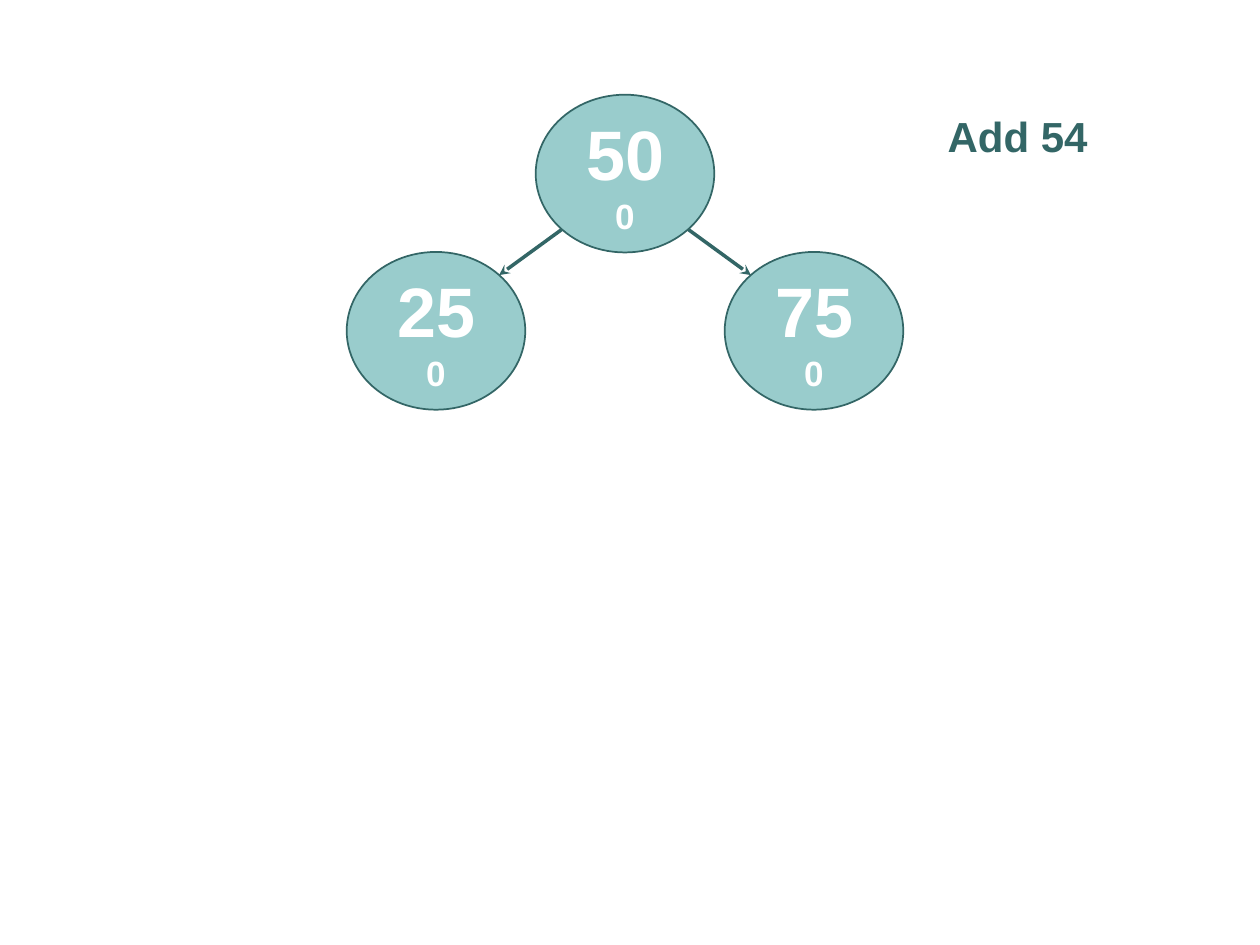
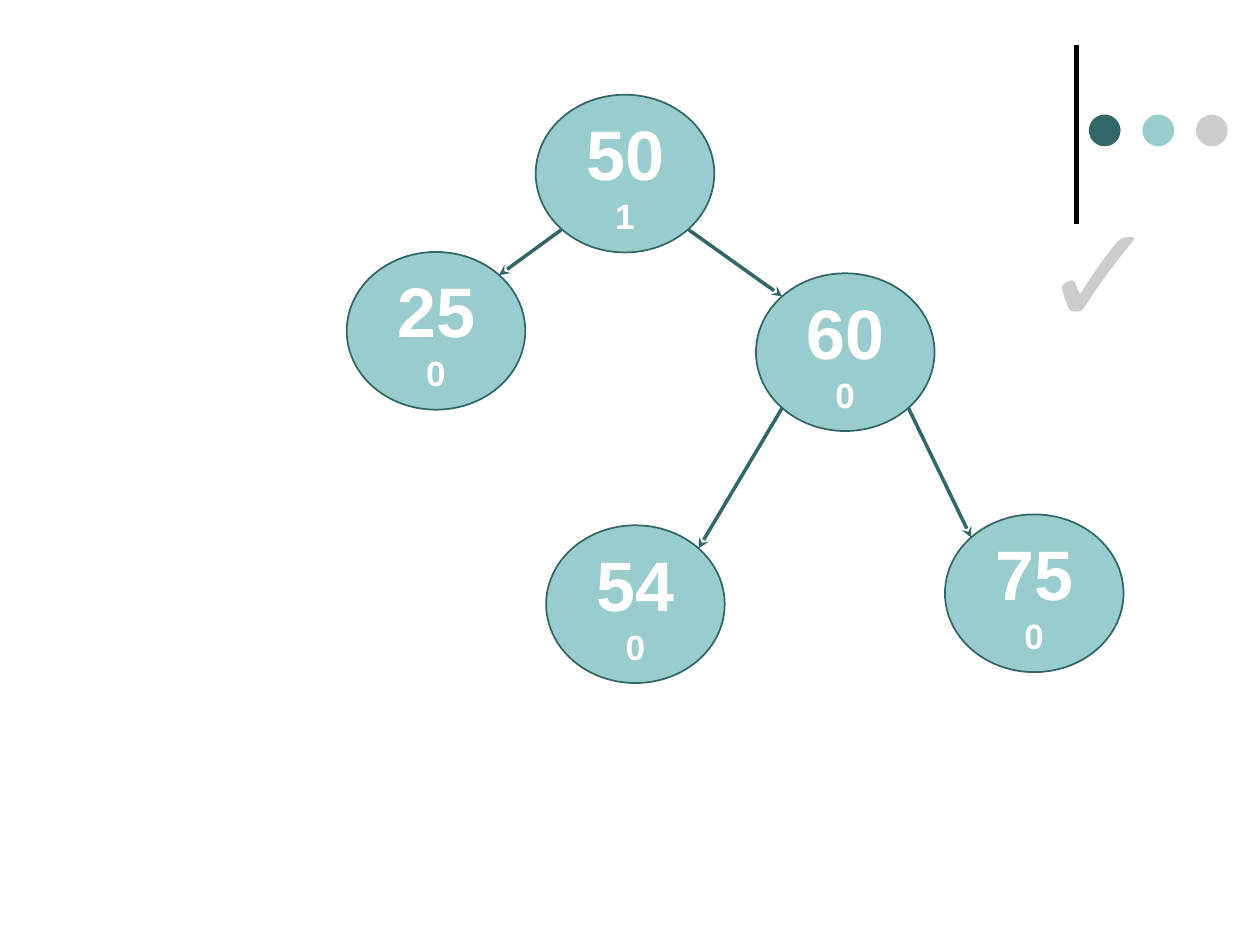
from math import sqrt

from lxml import etree
from pptx import Presentation
from pptx.dml.color import RGBColor
from pptx.enum import shapes, text
from pptx.oxml import ns
from pptx.util import Cm, Pt

DARK_TEAL = RGBColor(0x33, 0x66, 0x66)
LIGHT_TEAL = RGBColor(0x99, 0xCC, 0xCC)
GREY = RGBColor(0xCC, 0xCC, 0xCC)
BLACK = RGBColor(0, 0, 0)
WHITE = RGBColor(0xFF, 0xFF, 0xFF)
FONT = "Arial"

NODE_WIDTH, NODE_HEIGHT = Cm(3.6), Cm(3.18)
TREE_LEFT, TREE_TOP = Cm(6.99), Cm(1.91)
BOTTOM_LEFT, BOTTOM_RIGHT, TOP_RIGHT, TOP_LEFT = 3, 5, 7, 1


def style_paragraph(paragraph, color):
    paragraph.alignment = text.PP_ALIGN.CENTER
    paragraph.font.name = FONT
    paragraph.font.bold = True
    paragraph.font.color.rgb = color


def add_ellipse(slide, left, top, width, height, fill):
    ellipse = slide.shapes.add_shape(
        shapes.MSO_SHAPE.OVAL, left, top, width, height)
    ellipse.shadow.inherit = False
    ellipse.fill.solid()
    ellipse.fill.fore_color.rgb = fill
    return ellipse


def add_line(slide, start, end, color, weight):
    line = slide.shapes.add_connector(
        shapes.MSO_CONNECTOR.STRAIGHT, *start, *end)
    line.line.color.rgb = color
    line.line.width = Pt(weight)
    etree.SubElement(line._element.spPr, ns.qn("a:effectLst"))
    return line


def add_node(slide, left, top, key, balance):
    node = add_ellipse(slide, left, top, NODE_WIDTH, NODE_HEIGHT, LIGHT_TEAL)
    node.line.color.rgb = DARK_TEAL
    node.line.width = Pt(1)
    frame = node.text_frame
    frame.word_wrap = False
    frame.vertical_anchor = text.MSO_ANCHOR.MIDDLE
    label = frame.paragraphs[0]
    style_paragraph(label, WHITE)
    key_run = label.add_run()
    key_run.text = str(key)
    key_run.font.size = Pt(40)
    label.add_line_break()
    balance_run = label.add_run()
    balance_run.text = str(balance)
    balance_run.font.size = Pt(20)
    return node


def rim_point(node, x_sign, y_sign):
    x = node.left + node.width / 2 * (1 + x_sign / sqrt(2))
    y = node.top + node.height / 2 * (1 + y_sign / sqrt(2))
    return round(x), round(y)


def add_edge(slide, parent, child):
    side = 1 if child.left > parent.left else -1
    edge = add_line(slide, rim_point(parent, side, 1),
                    rim_point(child, -side, -1), DARK_TEAL, 2)
    arrowhead = etree.SubElement(edge.line._get_or_add_ln(), ns.qn("a:tailEnd"))
    arrowhead.set("type", "stealth")
    sites = (BOTTOM_RIGHT, TOP_LEFT) if side > 0 else (BOTTOM_LEFT, TOP_RIGHT)
    glue = edge._element.find(".//" + ns.qn("p:cNvCxnSpPr"))
    for tag, node, site in zip(("a:stCxn", "a:endCxn"), (parent, child), sites):
        joint = etree.SubElement(glue, ns.qn(tag))
        joint.set("id", str(node.shape_id))
        joint.set("idx", str(site))


def add_tree(slide, left, top, nodes, edges):
    placed = {key: add_node(slide, left + Cm(x), top + Cm(y), key, balance)
              for key, balance, x, y in nodes}
    for parent, child in edges:
        add_edge(slide, placed[parent], placed[child])


def add_caption(slide, left, top, width, height, words, size, color):
    box = slide.shapes.add_textbox(left, top, width, height)
    frame = box.text_frame
    frame.word_wrap = False
    frame.auto_size = text.MSO_AUTO_SIZE.SHAPE_TO_FIT_TEXT
    caption = frame.paragraphs[0]
    caption.text = words
    style_paragraph(caption, color)
    caption.font.size = Pt(size)


def add_corner_ornament(slide, left, top):
    add_line(slide, (left, top + Cm(3.61)), (left, top), BLACK, 3)
    for place, color in enumerate((DARK_TEAL, LIGHT_TEAL, GREY)):
        dot = add_ellipse(slide, left + Cm(0.25 + 1.08 * place),
                          top + Cm(1.4), Cm(0.64), Cm(0.64), color)
        dot.line.fill.background()


def build_insertion_slide(slide):
    add_tree(slide, TREE_LEFT, TREE_TOP,
             [(50, 0, 3.81, 0), (75, 0, 7.62, 3.17), (25, 0, 0, 3.17)],
             [(50, 25), (50, 75)])
    add_caption(slide, Cm(18.85), Cm(2.11), Cm(3.33), Cm(1.27),
                "Add 54", 24, DARK_TEAL)


def build_balanced_slide(slide):
    add_corner_ornament(slide, Cm(21.7), Cm(0.91))
    add_tree(slide, TREE_LEFT, TREE_TOP,
             [(50, 1, 3.81, 0), (75, 0, 12.06, 8.46), (25, 0, 0, 3.17),
              (54, 0, 4.02, 8.68), (60, 0, 8.25, 3.6)],
             [(50, 25), (60, 75), (60, 54), (50, 60)])
    add_caption(slide, Cm(20.75), Cm(3.61), Cm(2.72), Cm(3.63),
                "✓", 80, GREY)


deck = Presentation()
deck.slide_width, deck.slide_height = Cm(25.4), Cm(19.05)
blank = deck.slide_layouts[6]
for build in (build_insertion_slide, build_balanced_slide):
    build(deck.slides.add_slide(blank))
deck.save("out.pptx")
